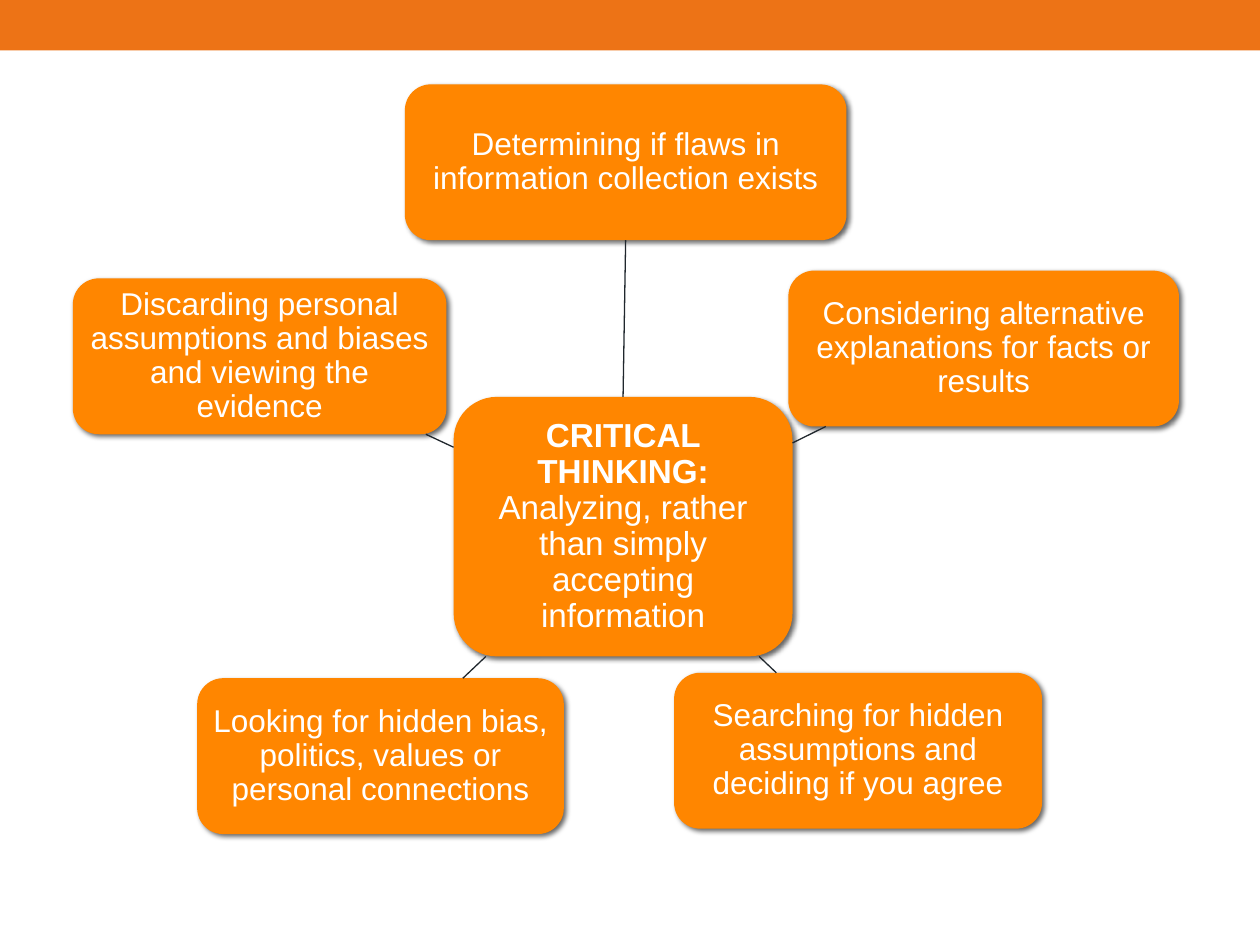
from dataclasses import dataclass

from lxml.etree import SubElement
from pptx import Presentation
from pptx.dml.color import RGBColor
from pptx.enum.shapes import MSO_CONNECTOR, MSO_SHAPE
from pptx.enum.text import MSO_ANCHOR, PP_ALIGN
from pptx.oxml.ns import qn
from pptx.util import Inches, Pt

COLUMNS, ROWS = 100, 75
SLIDE_WIDTH, SLIDE_HEIGHT = Inches(10), Inches(7.5)
TOP, BOTTOM = 0, 2


@dataclass(frozen=True)
class Theme:
    """Colours, font and sizes of the slide."""
    bar: RGBColor = RGBColor(0xED, 0x73, 0x16)
    box: RGBColor = RGBColor(0xFF, 0x86, 0x00)
    text: RGBColor = RGBColor(0xFF, 0xFF, 0xFF)
    line: RGBColor = RGBColor(0x20, 0x27, 0x2D)
    font: str = "Arial"
    hub_size: Pt = Pt(19)
    idea_size: Pt = Pt(18)
    line_width: Pt = Pt(0.75)
    inset: Inches = Inches(0.05)


THEME = Theme()
HUB_BOX = (36, 31.5, 26.9, 20.6)
HUB_TEXT = [("CRITICAL THINKING: ", True),
            ("Analyzing, rather than simply accepting information", False)]
IDEA_HEIGHT = 12.37
TOP_IDEA = (32.13, 6.7, 35.05, "Determining if flaws in information collection exists")
SIDE_IDEAS = [
    (62.57, 21.48, 31, "Considering alternative explanations for facts or results"),
    (53.5, 53.4, 29.2, "Searching for hidden assumptions and deciding if you agree"),
    (15.65, 53.83, 29.1, "Looking for hidden bias, politics, values or personal connections"),
    (5.78, 22.1, 29.65, "Discarding personal assumptions and biases and viewing the evidence"),
]


def set_attributes(target, values):
    """Set every named attribute of the target."""
    for name, value in values.items():
        setattr(target, name, value)


def place(box):
    """Turn a box in columns and rows into slide lengths."""
    left, top, width, height = box
    column, row = SLIDE_WIDTH / COLUMNS, SLIDE_HEIGHT / ROWS
    return [round(length) for length in (left * column, top * row, width * column, height * row)]


def add_box(slide, kind, box, color):
    """Add a plain filled shape without a line or shadow."""
    shape = slide.shapes.add_shape(kind, *place(box))
    shape.shadow.inherit = False
    shape.fill.solid()
    shape.fill.fore_color.rgb = color
    shape.line.fill.background()
    return shape


def add_shadow(shape):
    """Give the shape a soft shadow to the lower right."""
    effects = shape._element.spPr.find(qn("a:effectLst"))
    shadow = SubElement(effects, qn("a:outerShdw"), blurRad=str(Pt(3)), dist=str(Pt(2)),
                        dir=str(45 * 60000), algn="ctr", rotWithShape="0")
    color = SubElement(shadow, qn("a:srgbClr"), val="000000")
    SubElement(color, qn("a:alpha"), val="60000")


def add_bubble(slide, box, runs, size):
    """Add a rounded box with centred text made of (text, bold) runs."""
    shape = add_box(slide, MSO_SHAPE.ROUNDED_RECTANGLE, box, THEME.box)
    add_shadow(shape)
    frame = shape.text_frame
    margins = {f"margin_{side}": THEME.inset for side in ("left", "top", "right", "bottom")}
    set_attributes(frame, {"word_wrap": True, "vertical_anchor": MSO_ANCHOR.MIDDLE, **margins})
    paragraph = frame.paragraphs[0]
    set_attributes(paragraph, {"alignment": PP_ALIGN.CENTER, "line_spacing": 0.9})
    for text, bold in runs:
        run = paragraph.add_run()
        run.text = text
        set_attributes(run.font, {"name": THEME.font, "size": size, "bold": bold})
        run.font.color.rgb = THEME.text
    return shape


def center(shape):
    """Return the middle point of a shape."""
    return shape.left + shape.width / 2, shape.top + shape.height / 2


def edge_point(shape, target):
    """Return where the line from the shape's middle to the target leaves the shape."""
    x, y = center(shape)
    dx, dy = target[0] - x, target[1] - y
    share = 1 / max(abs(dx) * 2 / shape.width, abs(dy) * 2 / shape.height)
    return round(x + dx * share), round(y + dy * share)


def add_link(slide, hub, idea):
    """Draw a line from hub to idea along the line between their middles."""
    start, end = edge_point(hub, center(idea)), edge_point(idea, center(hub))
    link = slide.shapes.add_connector(MSO_CONNECTOR.STRAIGHT, *start, *end)
    link.line.color.rgb = THEME.line
    link.line.width = THEME.line_width
    SubElement(link._element.spPr, qn("a:effectLst"))
    return link


def add_idea(slide, hub, idea):
    """Add one idea bubble and its link to the hub."""
    left, top, width, text = idea
    bubble = add_bubble(slide, (left, top, width, IDEA_HEIGHT), [(text, False)], THEME.idea_size)
    return bubble, add_link(slide, hub, bubble)


def add_mind_map(slide):
    """Add the hub and the ideas around it."""
    hub = add_bubble(slide, HUB_BOX, HUB_TEXT, THEME.hub_size)
    bubble, link = add_idea(slide, hub, TOP_IDEA)
    link.begin_connect(hub, TOP)
    link.end_connect(bubble, BOTTOM)
    for idea in SIDE_IDEAS:
        add_idea(slide, hub, idea)


def main():
    """Build and save the presentation."""
    presentation = Presentation()
    set_attributes(presentation, {"slide_width": SLIDE_WIDTH, "slide_height": SLIDE_HEIGHT})
    slide = presentation.slides.add_slide(presentation.slide_layouts.get_by_name("Blank"))
    add_box(slide, MSO_SHAPE.RECTANGLE, (0, 0, COLUMNS, 4), THEME.bar)
    add_mind_map(slide)
    presentation.save("out.pptx")


if __name__ == "__main__":
    main()
